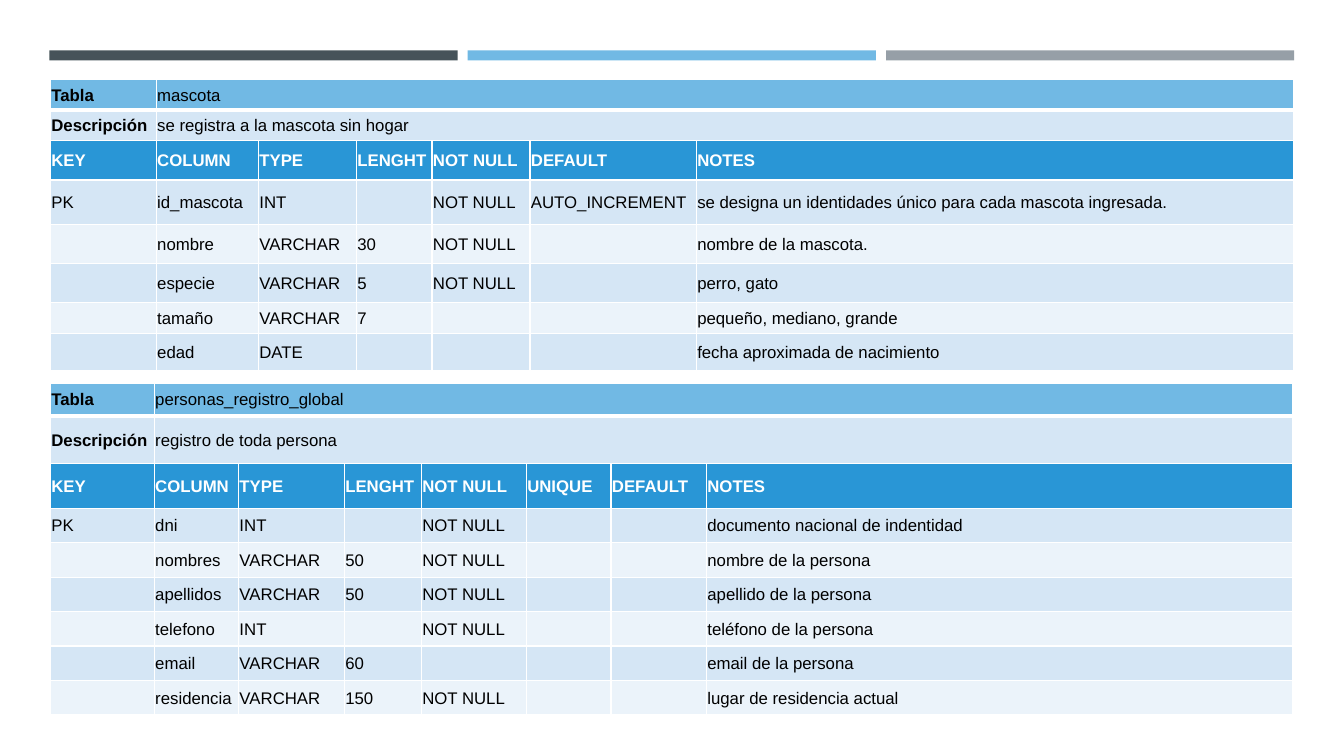
import lxml.etree
import pptx
import pptx.dml.color
import pptx.enum.shapes
import pptx.enum.text
import pptx.oxml.ns
import pptx.util

Pt = pptx.util.Pt
RGBColor = pptx.dml.color.RGBColor
qn = pptx.oxml.ns.qn

SLATE = RGBColor(0x46, 0x53, 0x59)
SKY = RGBColor(0x71, 0xB9, 0xE4)
GREY = RGBColor(0x96, 0x9F, 0xA7)
BLUE = RGBColor(0x29, 0x96, 0xD6)
PALE = RGBColor(0xD5, 0xE6, 0xF5)
PALEST = RGBColor(0xEB, 0xF3, 0xFA)
WHITE = RGBColor(0xFF, 0xFF, 0xFF)
BLACK = RGBColor(0x00, 0x00, 0x00)

TITLE_ROW, DESCRIPTION_ROW, HEADER_ROW = range(3)
CELL_FORMAT = {
    "margin_left": Pt(0.72),
    "margin_top": Pt(0.72),
    "margin_right": Pt(0.72),
    "margin_bottom": Pt(0),
    "vertical_anchor": pptx.enum.text.MSO_ANCHOR.MIDDLE,
}

MASCOTA = [
    ["Tabla", "mascota"],
    ["Descripción", "se registra a la mascota sin hogar"],
    ["KEY", "COLUMN", "TYPE", "LENGHT", "NOT NULL", "DEFAULT", "NOTES"],
    ["PK", "id_mascota", "INT", "", "NOT NULL", "AUTO_INCREMENT",
     "se designa un identidades único para cada mascota ingresada."],
    ["", "nombre", "VARCHAR", "30", "NOT NULL", "", "nombre de la mascota."],
    ["", "especie", "VARCHAR", "5", "NOT NULL", "", "perro, gato"],
    ["", "tamaño", "VARCHAR", "7", "", "", "pequeño, mediano, grande"],
    ["", "edad", "DATE", "", "", "", "fecha aproximada de nacimiento"],
]
MASCOTA_WIDTHS = [75.6, 73, 70, 54, 70, 118.8, 426.4]
MASCOTA_HEIGHTS = [21.8, 21.8, 28, 31.7, 28, 28, 21.8, 27]

PERSONAS = [
    ["Tabla", "personas_registro_global"],
    ["Descripción", "registro de toda persona"],
    ["KEY", "COLUMN", "TYPE", "LENGHT", "NOT NULL", "UNIQUE", "DEFAULT", "NOTES"],
    ["PK", "dni", "INT", "", "NOT NULL", "", "", "documento nacional de indentidad"],
    ["", "nombres", "VARCHAR", "50", "NOT NULL", "", "", "nombre de la persona"],
    ["", "apellidos", "VARCHAR", "50", "NOT NULL", "", "", "apellido de la persona"],
    ["", "telefono", "INT", "", "NOT NULL", "", "", "teléfono de la persona"],
    ["", "email", "VARCHAR", "60", "", "", "", "email de la persona"],
    ["", "residencia", "VARCHAR", "150", "NOT NULL", "", "", "lugar de residencia actual"],
]
PERSONAS_WIDTHS = [74.2, 60.2, 75.6, 55, 75, 60.5, 68.2, 419.1]
PERSONAS_HEIGHTS = [23.2, 34.2, 32] + [24.6] * 6


def draw_bars(slide, left, top, width, height):
    gap = height
    bar_width = (width - 2 * gap) / 3
    for index, color in enumerate([SLATE, SKY, GREY]):
        bar = slide.shapes.add_shape(
            pptx.enum.shapes.MSO_SHAPE.RECTANGLE,
            Pt(left + index * (bar_width + gap)), Pt(top), Pt(bar_width), Pt(height))
        bar.shadow.inherit = False
        bar.fill.solid()
        bar.fill.fore_color.rgb = color
        bar.line.fill.background()


def set_borders(cell, row):
    properties = cell._tc.get_or_add_tcPr()
    thick_sides = {TITLE_ROW: "B", DESCRIPTION_ROW: "T"}
    for side in "LRTB":
        width = Pt(3 if thick_sides.get(row) == side else 1)
        border = lxml.etree.SubElement(properties, qn(f"a:ln{side}"), w=str(int(width)))
        fill = lxml.etree.SubElement(border, qn("a:solidFill"))
        lxml.etree.SubElement(fill, qn("a:srgbClr"), val=str(WHITE))


def row_fill(row):
    banding = PALE if row % 2 else PALEST
    return {TITLE_ROW: SKY, HEADER_ROW: BLUE}.get(row, banding)


def fill_cell(cell, text, row, column):
    for attribute, value in CELL_FORMAT.items():
        setattr(cell, attribute, value)
    set_borders(cell, row)
    cell.fill.solid()
    cell.fill.fore_color.rgb = row_fill(row)
    paragraph = cell.text_frame.paragraphs[0]
    if not text:
        lxml.etree.SubElement(paragraph._p, qn("a:endParaRPr"), sz="1200")
        return
    label = paragraph.add_run()
    label.text = text
    is_caption = row < HEADER_ROW and column == 0
    label_format = {
        "name": "Arial",
        "size": Pt(12),
        "bold": row == HEADER_ROW or is_caption,
    }
    for attribute, value in label_format.items():
        setattr(label.font, attribute, value)
    label.font.color.rgb = WHITE if row == HEADER_ROW else BLACK


def draw_dictionary(slide, left, top, content, widths, heights):
    dictionary = slide.shapes.add_table(
        len(heights), len(widths), Pt(left), Pt(top),
        Pt(sum(widths)), Pt(sum(heights))).table
    for column, width in zip(dictionary.columns, widths):
        column.width = Pt(width)
    for row, height in zip(dictionary.rows, heights):
        row.height = Pt(height)
    for row, texts in enumerate(content):
        padded = texts + [""] * (len(widths) - len(texts))
        for column, text in enumerate(padded):
            fill_cell(dictionary.cell(row, column), text, row, column)
    for row in (TITLE_ROW, DESCRIPTION_ROW):
        dictionary.cell(row, 1).merge(dictionary.cell(row, len(widths) - 1))


def main():
    presentation = pptx.Presentation()
    presentation.slide_width = Pt(960)
    presentation.slide_height = Pt(540)
    slide = presentation.slides.add_slide(presentation.slide_layouts[6])
    draw_bars(slide, 35.3, 36, 889.2, 7.2)
    draw_dictionary(slide, 36, 57, MASCOTA, MASCOTA_WIDTHS, MASCOTA_HEIGHTS)
    draw_dictionary(slide, 36, 273.8, PERSONAS, PERSONAS_WIDTHS, PERSONAS_HEIGHTS)
    presentation.save("out.pptx")


if __name__ == "__main__":
    main()
